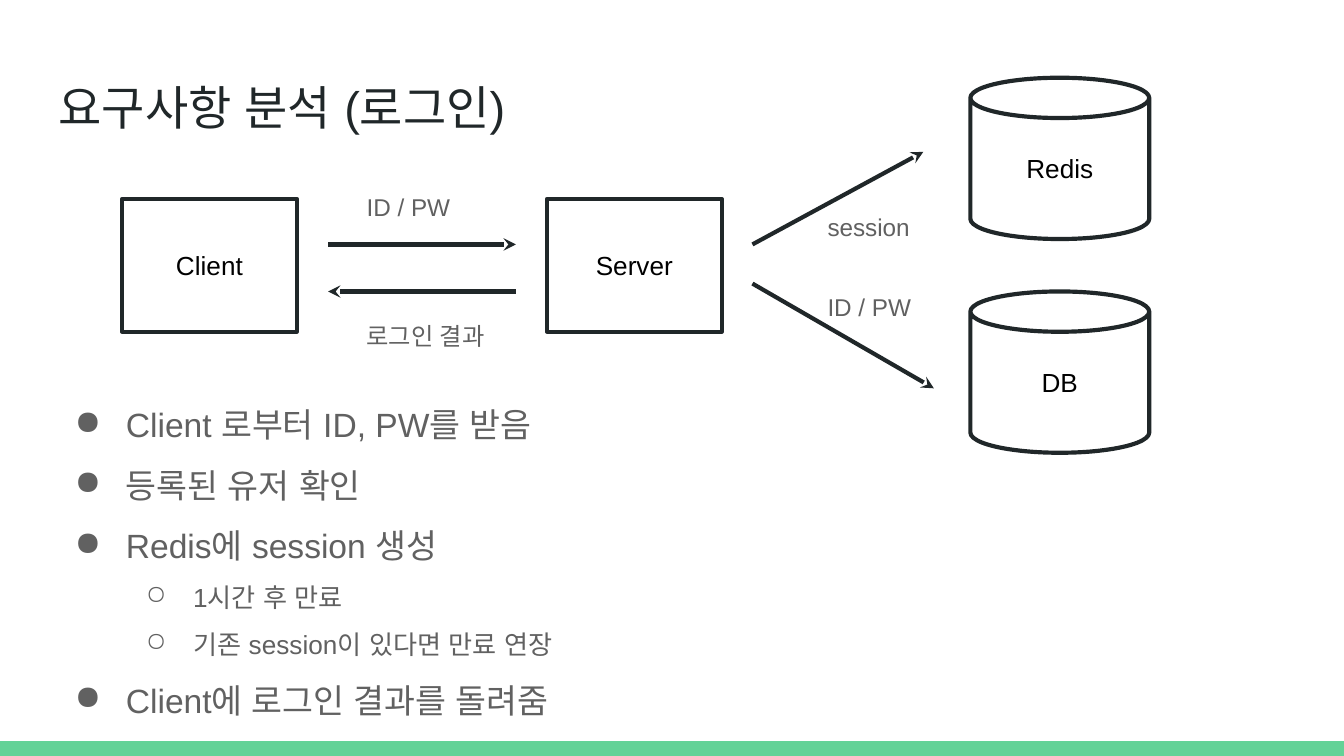
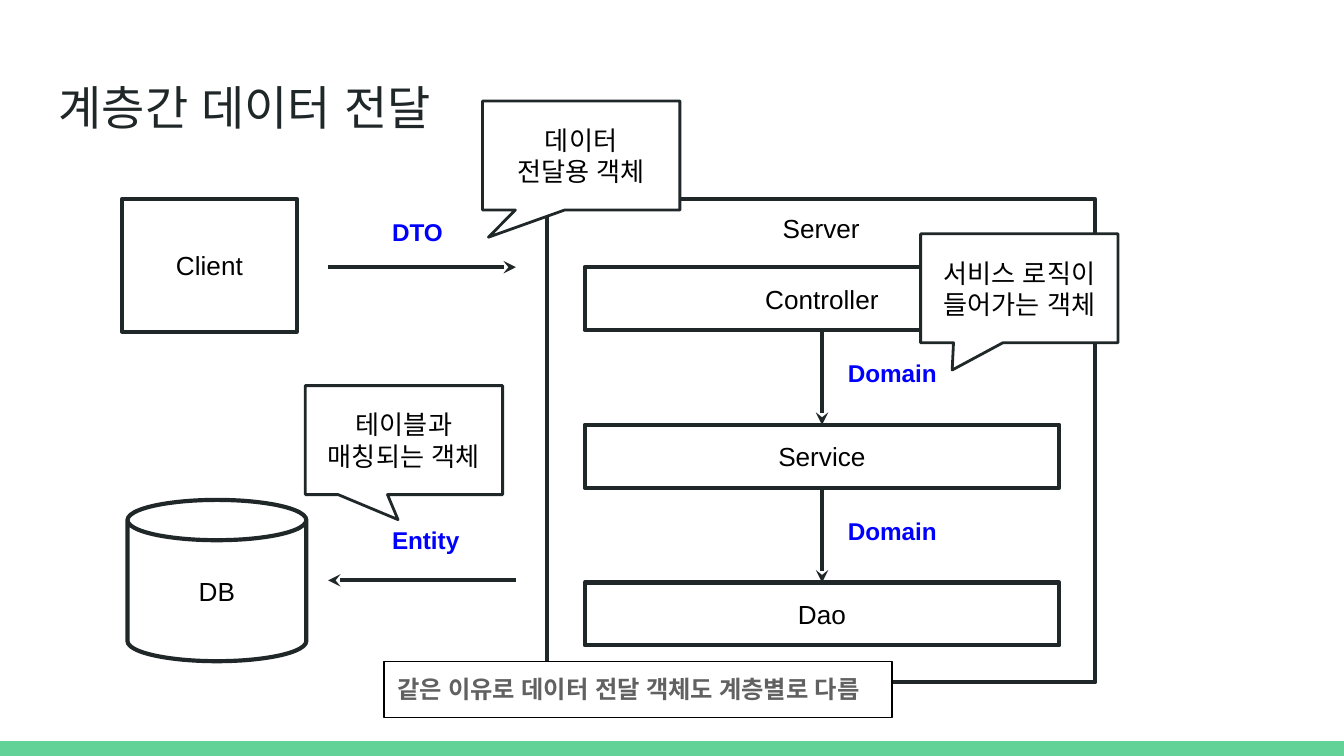
"""Build two slides on the login flow and on data transfer between layers."""
from dataclasses import dataclass
from typing import Optional

from lxml.etree import SubElement
from pptx import Presentation
from pptx.dml.color import RGBColor
from pptx.enum.shapes import MSO_CONNECTOR, MSO_SHAPE
from pptx.enum.text import MSO_ANCHOR, MSO_AUTO_SIZE, PP_ALIGN
from pptx.oxml.ns import qn
from pptx.util import Cm, Pt


@dataclass(frozen=True)
class TextStyle:
    size: float
    color: str
    bold: bool = False


@dataclass(frozen=True)
class Theme:
    font: str = "Arial"
    ink: str = "202729"
    black: str = "000000"
    paper: str = "FFFFFF"
    accent: str = "63D297"
    gray: str = "616161"
    line_width: float = 2.25
    callout_line_width: float = 1.5
    note_line_width: float = 0.75
    inset: float = 0.25
    title: TextStyle = TextStyle(25.2, "202729")
    node: TextStyle = TextStyle(14, "000000")
    label: TextStyle = TextStyle(13, "616161")
    data_label: TextStyle = TextStyle(13, "0000FF", True)
    note: TextStyle = TextStyle(13, "616161", True)
    bullet: TextStyle = TextStyle(18, "616161")
    sub_bullet: TextStyle = TextStyle(14, "616161")


@dataclass(frozen=True)
class Node:
    text: str
    left: float
    top: float
    width: float = 3.3
    height: float = 2.51
    kind: MSO_SHAPE = MSO_SHAPE.RECTANGLE
    anchor: MSO_ANCHOR = MSO_ANCHOR.MIDDLE
    align: PP_ALIGN = PP_ALIGN.CENTER
    style: TextStyle = Theme.node
    fill: Optional[str] = None
    line: str = Theme.ink
    line_width: float = Theme.line_width
    adjustments: tuple[float, ...] = ()


@dataclass(frozen=True)
class Arrow:
    start_x: float
    start_y: float
    end_x: float
    end_y: float


@dataclass(frozen=True)
class Label:
    text: str
    left: float
    top: float
    width: float = 2.36
    style: TextStyle = Theme.label


@dataclass(frozen=True)
class Bullet:
    text: str
    level: int = 0


@dataclass(frozen=True)
class BulletLevel:
    symbol: str
    margin: float
    indent: float
    style: TextStyle


THEME = Theme()
SLIDE_WIDTH, SLIDE_HEIGHT, BAND_HEIGHT = 25.4, 14.29, 0.28
LABEL_HEIGHT = 1.07
CLIENT = Node("Client", 2.31, 3.76)
SERVER_LEFT = 10.34
LINK_LEFT, LINK_RIGHT = 6.2, 9.75
LAYER_LEFT, LAYER_TOP, LAYER_WIDTH, LAYER_HEIGHT, LAYER_PITCH = 11.05, 5.05, 8.97, 1.19, 2.98
LEVELS = (
    BulletLevel("●", 1.27, 0.97, THEME.bullet),
    BulletLevel("○", 2.54, 0.89, THEME.sub_bullet),
)
LOGIN_STEPS = (
    Bullet("Client 로부터 ID, PW를 받음"),
    Bullet("등록된 유저 확인"),
    Bullet("Redis에 session 생성"),
    Bullet("1시간 후 만료", 1),
    Bullet("기존 session이 있다면 만료 연장", 1),
    Bullet("Client에 로그인 결과를 돌려줌"),
)


def storage(text: str, left: float, top: float) -> Node:
    """Describe a storage cylinder."""
    return Node(text, left, top, 3.38, 3.05, MSO_SHAPE.CAN, adjustments=(0.25,))


def callout(text: str, left: float, top: float, tip_x: float, tip_y: float,
            fill: Optional[str] = THEME.paper) -> Node:
    """Describe a callout whose tip is given relative to its centre."""
    return Node(text, left, top, 3.73, 2.06, MSO_SHAPE.ROUNDED_RECTANGULAR_CALLOUT, fill=fill,
                line_width=THEME.callout_line_width, adjustments=(tip_x, tip_y, 0))


def apply_format(target, values: dict) -> None:
    """Set every attribute named in the dict."""
    for name, value in values.items():
        setattr(target, name, value)


def format_frame(frame, anchor: MSO_ANCHOR = MSO_ANCHOR.TOP,
                 auto_size: MSO_AUTO_SIZE = MSO_AUTO_SIZE.NONE) -> None:
    """Apply the shared insets, wrapping and anchoring."""
    sides = ("left", "right", "top", "bottom")
    apply_format(frame, {f"margin_{side}": Cm(THEME.inset) for side in sides})
    apply_format(frame, {"word_wrap": True, "auto_size": auto_size, "vertical_anchor": anchor})


def write_paragraph(paragraph, text: str, style: TextStyle, align: PP_ALIGN = PP_ALIGN.LEFT) -> None:
    """Write one run of styled text."""
    paragraph.alignment = align
    run = paragraph.add_run()
    run.text = text
    apply_format(run.font, {"name": THEME.font, "size": Pt(style.size), "bold": style.bold})
    run.font.color.rgb = RGBColor.from_string(style.color)
    SubElement(run.font._element, qn("a:ea"), typeface=THEME.font)


def write_lines(frame, text: str, style: TextStyle, align: PP_ALIGN = PP_ALIGN.LEFT) -> None:
    """Write each line of the text as a paragraph."""
    for index, line in enumerate(text.split("\n")):
        paragraph = frame.add_paragraph() if index else frame.paragraphs[0]
        write_paragraph(paragraph, line, style, align)


def draw_band(slide) -> None:
    """Draw the accent band along the bottom edge."""
    band = slide.shapes.add_shape(MSO_SHAPE.RECTANGLE, 0, Cm(SLIDE_HEIGHT - BAND_HEIGHT),
                                  Cm(SLIDE_WIDTH), Cm(BAND_HEIGHT))
    band.shadow.inherit = False
    band.fill.solid()
    band.fill.fore_color.rgb = RGBColor.from_string(THEME.accent)
    band.line.fill.background()


def add_titled_slide(presentation, text: str):
    """Add a title-only slide with its title and band."""
    slide = presentation.slides.add_slide(presentation.slide_layouts[5])
    draw_band(slide)
    title = slide.shapes.title
    apply_format(title, {"left": Cm(0.86), "top": Cm(1.24), "width": Cm(23.67), "height": Cm(1.6)})
    format_frame(title.text_frame)
    write_lines(title.text_frame, text, THEME.title)
    return slide


def draw_node(slide, node: Node) -> None:
    """Draw an outlined shape with its text."""
    shape = slide.shapes.add_shape(node.kind, Cm(node.left), Cm(node.top),
                                   Cm(node.width), Cm(node.height))
    shape.shadow.inherit = False
    for index, value in enumerate(node.adjustments):
        shape.adjustments[index] = value
    if node.fill:
        shape.fill.solid()
        shape.fill.fore_color.rgb = RGBColor.from_string(node.fill)
    else:
        shape.fill.background()
    shape.line.color.rgb = RGBColor.from_string(node.line)
    shape.line.width = Pt(node.line_width)
    format_frame(shape.text_frame, node.anchor)
    write_lines(shape.text_frame, node.text, node.style, node.align)


def draw_arrow(slide, arrow: Arrow) -> None:
    """Draw a straight line with a stealth head at its end."""
    connector = slide.shapes.add_connector(MSO_CONNECTOR.STRAIGHT, Cm(arrow.start_x), Cm(arrow.start_y),
                                           Cm(arrow.end_x), Cm(arrow.end_y))
    connector.line.color.rgb = RGBColor.from_string(THEME.ink)
    connector.line.width = Pt(THEME.line_width)
    properties = connector.element.spPr
    SubElement(properties.find(qn("a:ln")), qn("a:tailEnd"), type="stealth")
    SubElement(properties, qn("a:effectLst"))


def draw_label(slide, label: Label) -> None:
    """Draw a text label."""
    box = slide.shapes.add_textbox(Cm(label.left), Cm(label.top), Cm(label.width), Cm(LABEL_HEIGHT))
    format_frame(box.text_frame, auto_size=MSO_AUTO_SIZE.SHAPE_TO_FIT_TEXT)
    write_lines(box.text_frame, label.text, label.style)


def draw_bullets(slide, bullets: tuple[Bullet, ...]) -> None:
    """Draw the two-level bullet list."""
    box = slide.shapes.add_textbox(Cm(0.86), Cm(7.01), Cm(23.67), Cm(7))
    format_frame(box.text_frame)
    for index, bullet in enumerate(bullets):
        level = LEVELS[bullet.level]
        paragraph = box.text_frame.add_paragraph() if index else box.text_frame.paragraphs[0]
        apply_format(paragraph, {"level": bullet.level, "line_spacing": 1.5})
        properties = paragraph._p.get_or_add_pPr()
        properties.set("marL", str(Cm(level.margin)))
        properties.set("indent", str(-Cm(level.indent)))
        SubElement(SubElement(properties, qn("a:buClr")), qn("a:srgbClr"), val=THEME.gray)
        SubElement(properties, qn("a:buChar"), char=level.symbol)
        write_paragraph(paragraph, bullet.text, level.style)


def draw_diagram(slide, nodes: list[Node], arrows: list[Arrow], labels: list[Label]) -> None:
    """Draw the nodes, then the arrows, then the labels."""
    for draw, items in ((draw_node, nodes), (draw_arrow, arrows), (draw_label, labels)):
        for item in items:
            draw(slide, item)


def build_login_slide(presentation) -> None:
    """Build the login requirements slide."""
    slide = add_titled_slide(presentation, "요구사항 분석 (로그인)")
    nodes = [CLIENT, Node("Server", SERVER_LEFT, CLIENT.top),
             storage("DB", 18.34, 5.51), storage("Redis", 18.34, 1.47)]
    arrows = [
        Arrow(LINK_LEFT, 4.62, LINK_RIGHT, 4.62),
        Arrow(LINK_RIGHT, 5.51, LINK_LEFT, 5.51),
        Arrow(14.22, 5.36, 17.65, 7.34),
        Arrow(14.22, 4.62, 17.45, 2.87),
    ]
    labels = [
        Label("ID / PW", 6.68, 3.38),
        Label("로그인 결과", 6.68, 5.82, 3.25),
        Label("ID / PW", 15.39, 5.28),
        Label("session", 15.39, 3.76, 2.79),
    ]
    draw_diagram(slide, nodes, arrows, labels)
    draw_bullets(slide, LOGIN_STEPS)


def build_layers_slide(presentation) -> None:
    """Build the slide on data transfer between layers."""
    slide = add_titled_slide(presentation, "계층간 데이터 전달")
    layers = [Node(name, LAYER_LEFT, LAYER_TOP + index * LAYER_PITCH, LAYER_WIDTH, LAYER_HEIGHT)
              for index, name in enumerate(("Controller", "Service", "Dao"))]
    nodes = [CLIENT, Node("Server", SERVER_LEFT, CLIENT.top, 10.36, 9.14, anchor=MSO_ANCHOR.TOP),
             storage("DB", 2.41, 9.45), *layers]
    arrows = [Arrow(LINK_LEFT, 5.05, LINK_RIGHT, 5.05), Arrow(LINK_RIGHT, 10.97, LINK_LEFT, 10.97)]
    labels = [Label("DTO", 7.16, 3.86, style=THEME.data_label),
              Label("Entity", 7.16, 9.68, style=THEME.data_label)]
    center = LAYER_LEFT + LAYER_WIDTH / 2
    for upper, lower in zip(layers, layers[1:]):
        bottom = upper.top + upper.height
        arrows.append(Arrow(center, bottom, center, lower.top))
        labels.append(Label("Domain", center + 0.24, bottom + 0.28, style=THEME.data_label))
    draw_diagram(slide, nodes, arrows, labels)
    notes = [
        callout("테이블과 매칭되는 객체", 5.77, 7.29, -0.03, 0.73, None),
        callout("서비스 로직이\n들어가는 객체", 17.4, 4.42, -0.34, 0.75),
        callout("데이터\n전달용 객체", 9.12, 1.91, -0.47, 0.75),
        Node("같은 이유로 데이터 전달 객체도 계층별로 다름", 7.26, 12.5, 9.6, LABEL_HEIGHT,
             anchor=MSO_ANCHOR.TOP, align=PP_ALIGN.LEFT, style=THEME.note, fill=THEME.paper,
             line=THEME.black, line_width=THEME.note_line_width),
    ]
    for note in notes:
        draw_node(slide, note)


def main() -> None:
    """Build and save the presentation."""
    presentation = Presentation()
    apply_format(presentation, {"slide_width": Cm(SLIDE_WIDTH), "slide_height": Cm(SLIDE_HEIGHT)})
    build_login_slide(presentation)
    build_layers_slide(presentation)
    presentation.save("out.pptx")


if __name__ == "__main__":
    main()
